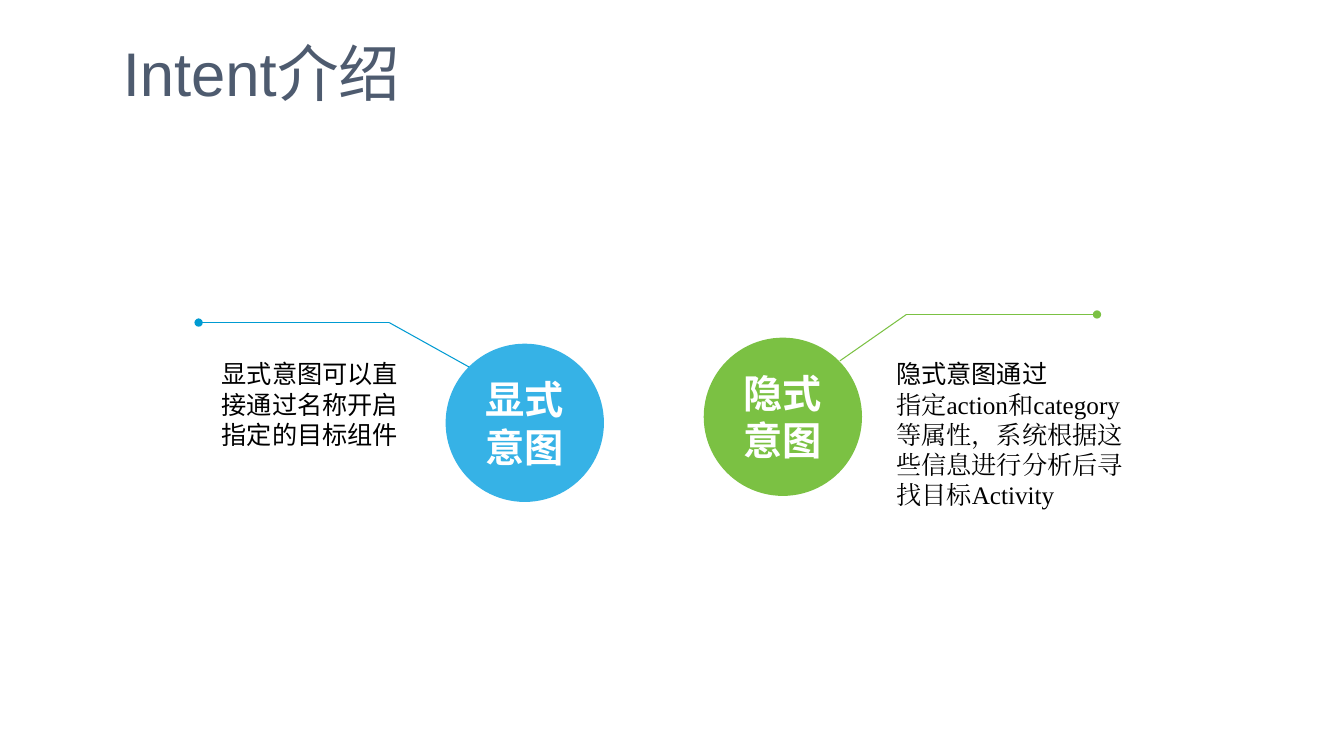
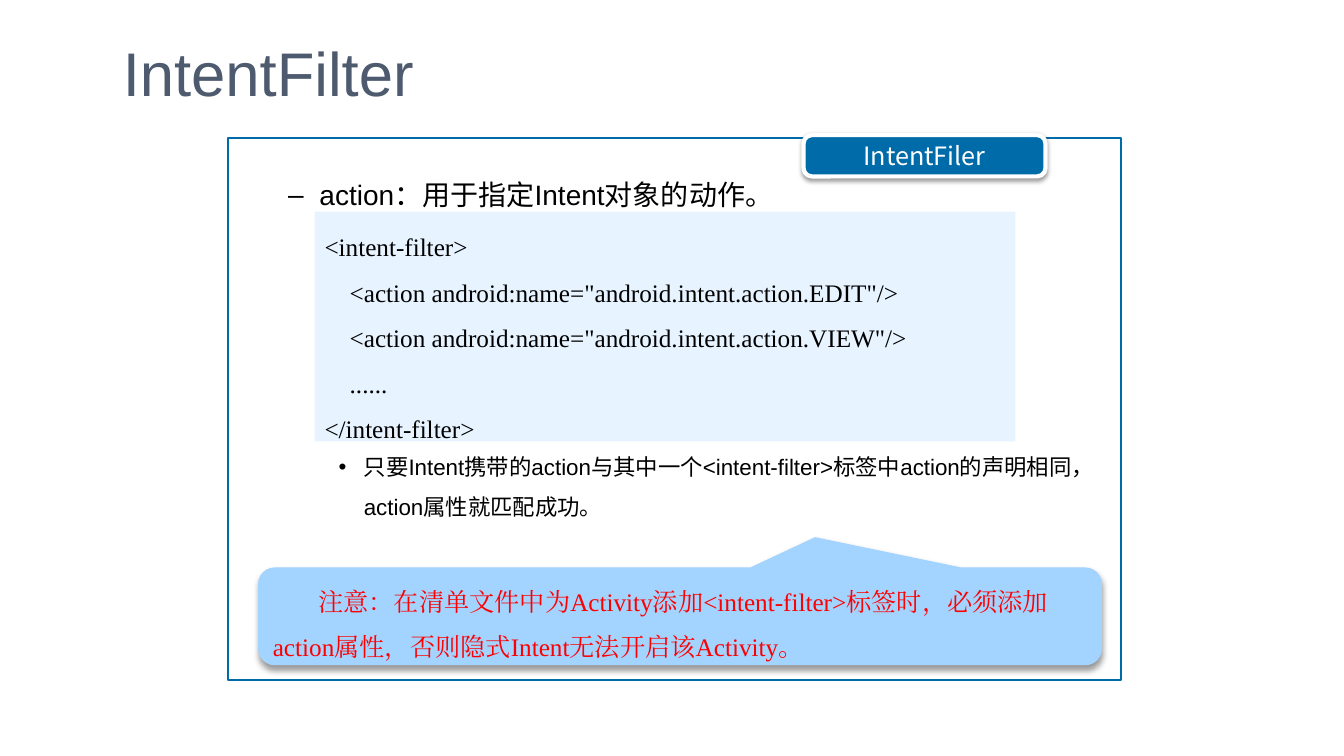
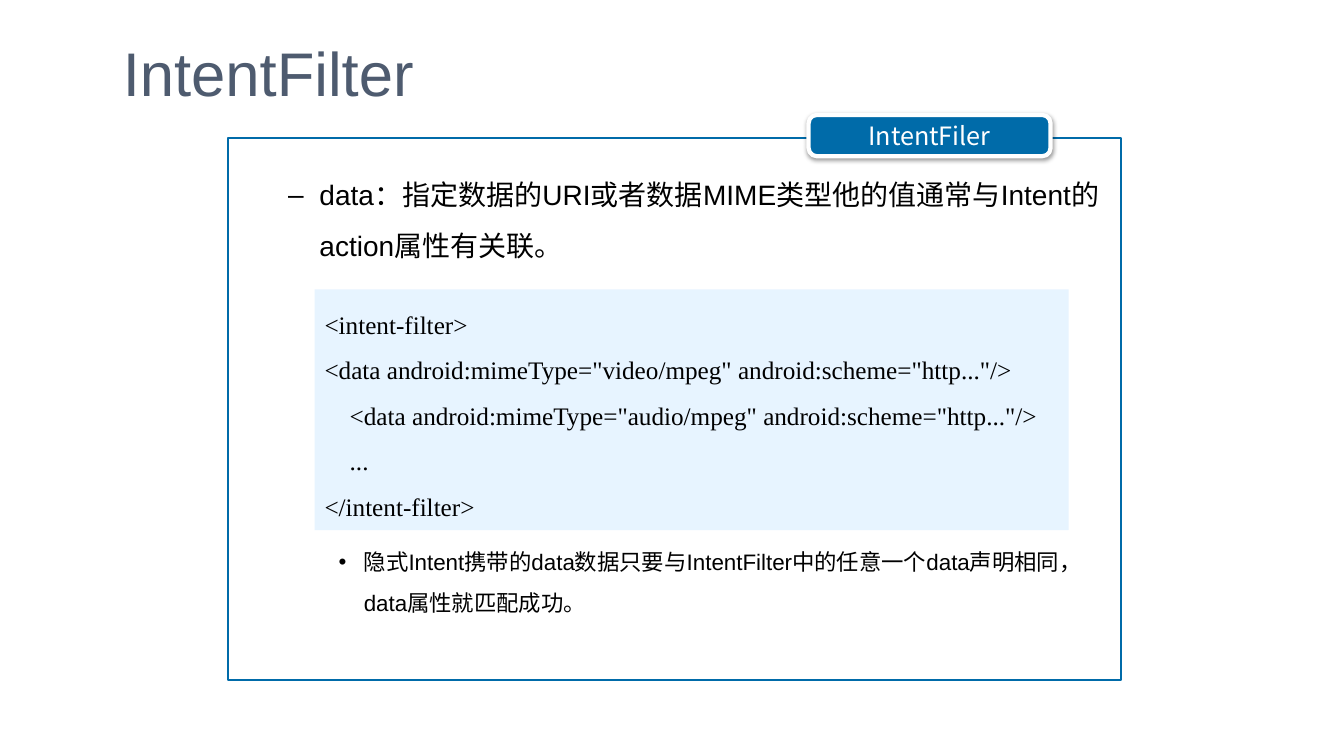
"""Build three slides that introduce Intent and IntentFilter."""
from lxml.etree import SubElement
from pptx import Presentation
from pptx.dml.color import RGBColor
from pptx.enum.shapes import MSO_CONNECTOR, MSO_SHAPE
from pptx.enum.text import MSO_ANCHOR, PP_ALIGN
from pptx.oxml.ns import qn
from pptx.util import Inches, Pt

SLATE = RGBColor(0x4E, 0x5B, 0x6F)
SKY = RGBColor(0x36, 0xB2, 0xE6)
CYAN = RGBColor(0x00, 0x9B, 0xD2)
GREEN = RGBColor(0x7B, 0xC1, 0x43)
NAVY = RGBColor(0x00, 0x6B, 0xA9)
PALE = RGBColor(0xE7, 0xF4, 0xFF)
LIGHT = RGBColor(0xA3, 0xD3, 0xFF)
RED = RGBColor(0xFF, 0x00, 0x00)
BLACK = RGBColor(0x00, 0x00, 0x00)
WHITE = RGBColor(0xFF, 0xFF, 0xFF)

SANS, SERIF, CJK = "Arial", "Times New Roman", "Noto Sans CJK SC"
BUBBLE_SIZE = 1.57

INTENTS = [
    {
        "lines": ["显式", "意图"], "fill": SKY, "line": CYAN, "bubble": (4.42, 3.41),
        "elbow": (3.86, 3.2), "dot": (1.97, 3.2), "touch": (4.65, 3.64),
        "note_box": (2.1, 3.51, 1.97, 1.01),
        "note": [("显式意图可以直接通过名称开启指定的目标组件", SANS)],
    },
    {
        "lines": ["隐式", "意图"], "fill": GREEN, "line": GREEN, "bubble": (6.98, 3.35),
        "elbow": (8.99, 3.12), "dot": (10.88, 3.12), "touch": (8.33, 3.58),
        "note_box": (8.79, 3.51, 2.47, 1.62),
        "note": [
            ("隐式意图通过", SANS),
            ("指定action和category等属性，系统根据这些信息进行分析后寻找目标Activity", SERIF),
        ],
    },
]

FILTERS = [
    {
        "topic": "action：用于指定Intent对象的动作。",
        "rule": "只要Intent携带的action与其中一个<intent-filter>标签中action的声明相同，action属性就匹配成功。",
        "rule_gap": 163,
        "badge": (7.97, 1.34),
        "code_box": (3.12, 2.1, 6.95, 2.28),
        "code": [
            (0, '<intent-filter>'),
            (1, '<action android:name="android.intent.action.EDIT"/>'),
            (1, '<action android:name="android.intent.action.VIEW"/>'),
            (1, '......'),
            (0, '</intent-filter>'),
        ],
        "warning": "注意：在清单文件中为Activity添加<intent-filter>标签时，必须添加action属性，否则隐式Intent无法开启该Activity。",
    },
    {
        "topic": "data：指定数据的URI或者数据MIME类型他的值通常与Intent的action属性有关联。",
        "rule": "隐式Intent携带的data数据只要与IntentFilter中的任意一个data声明相同，data属性就匹配成功。",
        "rule_gap": 195,
        "badge": (8.02, 1.14),
        "code_box": (3.12, 2.87, 7.48, 2.39),
        "code": [
            (0, '<intent-filter>'),
            (0, '<data android:mimeType="video/mpeg" android:scheme="http..."/>'),
            (1, '<data android:mimeType="audio/mpeg" android:scheme="http..."/>'),
            (1, '...'),
            (0, '</intent-filter>'),
        ],
        "warning": None,
    },
]


def write(shape, lines, size, font=SANS, color=BLACK, bold=False,
          align=PP_ALIGN.LEFT, anchor=MSO_ANCHOR.TOP, spacing=None):
    """Fill a shape with one paragraph per line and return the paragraphs."""
    frame = shape.text_frame
    frame.word_wrap = True
    frame.vertical_anchor = anchor
    frame.text = "\n".join(lines)
    for para in frame.paragraphs:
        para.alignment = align
        if spacing:
            para.line_spacing = spacing
        for span in para.runs:
            span.font.size = Pt(size)
            span.font.bold = bold
            span.font.color.rgb = color
            set_font(span, font)
    return frame.paragraphs


def set_font(span, name):
    """Use one typeface for Latin and East Asian text."""
    span.font.name = name
    props = span.font._element
    east = props.find(qn("a:ea"))
    if east is None:
        east = SubElement(props, qn("a:ea"))
    east.set("typeface", name)


def indent(para, left, first=0, bullet=None):
    """Set the indents of a paragraph and, if given, its bullet."""
    props = para._p.get_or_add_pPr()
    props.set("marL", str(Inches(left)))
    props.set("indent", str(Inches(first)))
    if bullet:
        SubElement(props, qn("a:buFont")).set("typeface", SANS)
        SubElement(props, qn("a:buChar")).set("char", bullet)


def add_text_box(page, box):
    """Add an empty text box."""
    return page.shapes.add_textbox(*map(Inches, box))


def add_block(page, kind, box, fill=None, line=None, width=1.0):
    """Add a flat preset shape."""
    shape = page.shapes.add_shape(kind, *map(Inches, box))
    shape.shadow.inherit = False
    if fill is None:
        shape.fill.background()
    else:
        shape.fill.solid()
        shape.fill.fore_color.rgb = fill
    if line is None:
        shape.line.fill.background()
    else:
        shape.line.color.rgb = line
        shape.line.width = Pt(width)
    return shape


def drop_shadow(shape, alpha, blur, distance):
    """Cast a soft black shadow straight down."""
    effects = shape._element.spPr.find(qn("a:effectLst"))
    shadow = SubElement(effects, qn("a:outerShdw"), blurRad=str(Pt(blur)),
                        dist=str(Pt(distance)), dir="5400000", rotWithShape="0")
    tone = SubElement(shadow, qn("a:srgbClr"), val="000000")
    SubElement(tone, qn("a:alpha"), val=str(alpha * 1000))


def add_line(page, start, end, color, dot=False):
    """Draw a thin line, with a dot at its end on request."""
    line = page.shapes.add_connector(MSO_CONNECTOR.STRAIGHT, *map(Inches, start + end))
    line.line.color.rgb = color
    line.line.width = Pt(0.75)
    if dot:
        SubElement(line.line._get_or_add_ln(), qn("a:tailEnd"), type="oval")
    SubElement(line._element.spPr, qn("a:effectLst"))


def add_page(deck, title):
    """Add a blank slide with the shared title."""
    page = deck.slides.add_slide(deck.slide_layouts[6])
    write(add_text_box(page, (1.12, 0.3, 7.63, 0.76)), [title], 44, color=SLATE)
    return page


def add_intent(page, intent):
    """Draw one kind of intent: bubble, bent pointer and note."""
    bubble = add_block(page, MSO_SHAPE.FLOWCHART_CONNECTOR,
                       intent["bubble"] + (BUBBLE_SIZE, BUBBLE_SIZE), intent["fill"])
    write(bubble, intent["lines"], 28, color=WHITE, bold=True,
          align=PP_ALIGN.CENTER, anchor=MSO_ANCHOR.MIDDLE)
    add_line(page, intent["elbow"], intent["dot"], intent["line"], dot=True)
    add_line(page, intent["elbow"], intent["touch"], intent["line"])
    note = add_text_box(page, intent["note_box"])
    paras = write(note, [text for text, font in intent["note"]], 18)
    for para, (text, font) in zip(paras, intent["note"]):
        set_font(para.runs[0], font)


def add_filter(page, item):
    """Draw the framed explanation of one filter attribute."""
    add_block(page, MSO_SHAPE.RECTANGLE, (2.26, 1.37, 8.86, 5.38), line=NAVY, width=1.5)

    body = add_text_box(page, (2.26, 1.55, 8.81, 3.4))
    topic, rule = write(body, [item["topic"], item["rule"]], 20, spacing=1.5)
    rule.space_before = Pt(item["rule_gap"])
    rule.runs[0].font.size = Pt(16)
    indent(topic, 0.81, -0.31, "–")
    indent(rule, 1.25, -0.25, "•")

    badge = add_block(page, MSO_SHAPE.ROUNDED_RECTANGLE, item["badge"] + (2.4, 0.41),
                      NAVY, WHITE, 3)
    badge.adjustments[0] = 0.2
    drop_shadow(badge, 38, 3.1, 1.6)
    write(badge, ["IntentFiler"], 18, CJK, WHITE,
          align=PP_ALIGN.CENTER, anchor=MSO_ANCHOR.MIDDLE)

    code = add_block(page, MSO_SHAPE.RECTANGLE, item["code_box"], PALE)
    paras = write(code, [text for depth, text in item["code"]], 18, SERIF, spacing=1.5)
    for para, (depth, text) in zip(paras, item["code"]):
        indent(para, 0.25 * depth)

    if item["warning"]:
        callout = add_block(page, MSO_SHAPE.ROUNDED_RECTANGULAR_CALLOUT,
                            (2.56, 5.63, 8.37, 0.97), LIGHT)
        for index, value in enumerate((0.16, -0.81, 0.17)):
            callout.adjustments[index] = value
        drop_shadow(callout, 40, 4, 3)
        warning, = write(callout, [item["warning"]], 18, SERIF, RED,
                         anchor=MSO_ANCHOR.MIDDLE, spacing=1.5)
        indent(warning, 0, 0.45)


def main():
    """Build and save the deck."""
    deck = Presentation()
    deck.slide_width, deck.slide_height = Inches(13.33), Inches(7.5)
    page = add_page(deck, "Intent介绍")
    for intent in INTENTS:
        add_intent(page, intent)
    for item in FILTERS:
        add_filter(add_page(deck, "IntentFilter"), item)
    deck.save("out.pptx")


if __name__ == "__main__":
    main()
